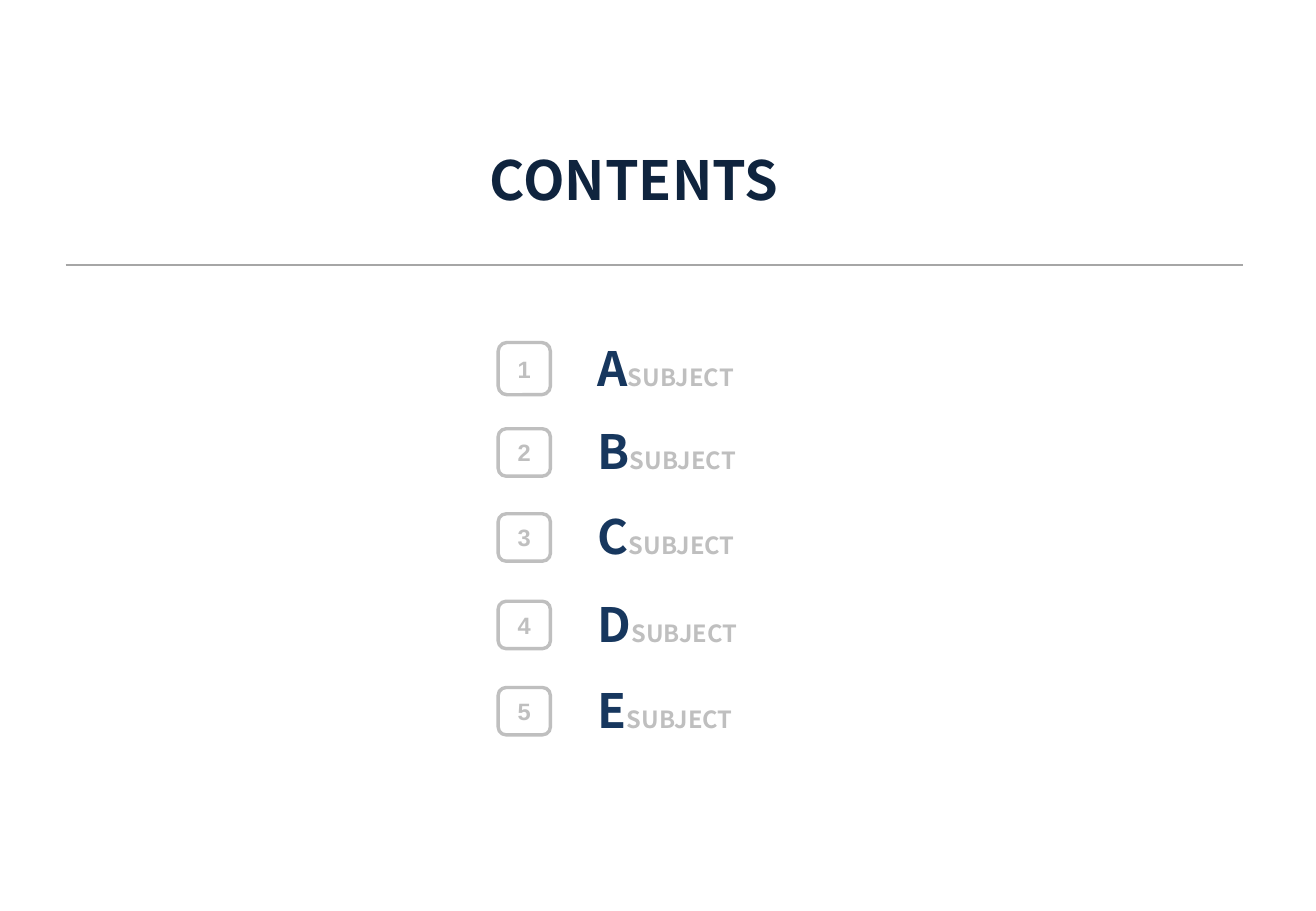
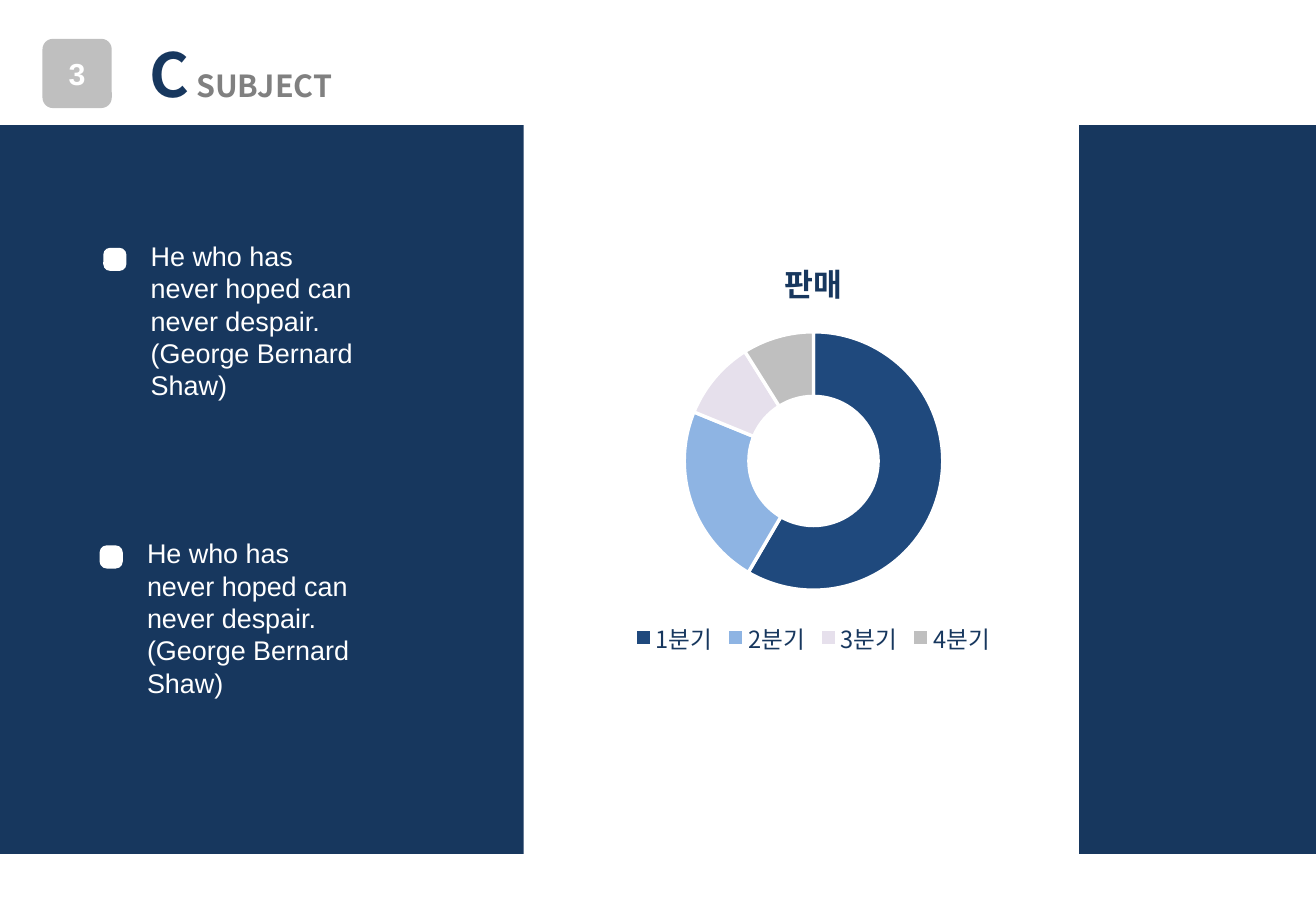
import pptx
import pptx.chart.data
import pptx.dml.color
import pptx.enum.chart
import pptx.enum.shapes
import pptx.enum.text
import pptx.util
from lxml import etree

PX = 9144
NAVY, DARK, GREY, SILVER, WHITE = "17375E", "0F243E", "808080", "BFBFBF", "FFFFFF"
SANS, ARIAL = "Noto Sans CJK KR", "Arial"
KIND = pptx.enum.shapes.MSO_SHAPE
ALIGN = pptx.enum.text.PP_ALIGN
ANCHOR = pptx.enum.text.MSO_ANCHOR
FIT = pptx.enum.text.MSO_AUTO_SIZE.SHAPE_TO_FIT_TEXT


def rgb(code):
    return pptx.dml.color.RGBColor.from_string(code)


def px(*sizes):
    return [size * PX for size in sizes]


def tag(name):
    return "{http://schemas.openxmlformats.org/drawingml/2006/main}" + name


class Deck:
    """Hold the shared style and the current slide, and draw each kind of element."""

    def __init__(self, wide, high):
        self.file = pptx.Presentation()
        self.file.slide_width, self.file.slide_height = px(wide, high)

    def page(self, layout):
        self.slide = self.file.slides.add_slide(self.file.slide_layouts[layout])
        self.shapes = self.slide.shapes

    def font(self, font, size, color, name=SANS, bold=True):
        look = {"size": pptx.util.Pt(size), "name": name, "bold": bold}
        for key, value in look.items():
            setattr(font, key, value)
        font.color.rgb = rgb(color)

    def text(self, shape, runs, align=ALIGN.LEFT, anchor=ANCHOR.TOP, fit=FIT):
        frame = shape.text_frame
        look = {"word_wrap": True, "auto_size": fit, "vertical_anchor": anchor}
        for key, value in look.items():
            setattr(frame, key, value)
        para = frame.paragraphs[0]
        para.alignment = align
        para.space_before = pptx.util.Pt(0)
        for words, *style in runs:
            run = para.add_run()
            run.text = words
            self.font(run.font, *style)

    def place(self, shape, box):
        for key, value in zip(("left", "top", "width", "height"), px(*box)):
            setattr(shape, key, value)

    def title(self, box, runs, align=ALIGN.LEFT):
        self.place(self.shapes.title, box)
        self.text(self.shapes.title, runs, align)

    def body(self, index, box, words):
        shape = self.slide.placeholders[index]
        self.place(shape, box)
        self.text(shape, [(words, 16, WHITE, ARIAL, False)])
        props = shape.element.xpath(".//a:pPr")[0]
        props.set("marL", "0")
        props.set("indent", "0")
        etree.SubElement(props, tag("buNone"))
        shape.element.getparent().append(shape.element)

    def label(self, box, runs):
        self.text(self.shapes.add_textbox(*px(*box)), runs, ALIGN.JUSTIFY)

    def block(self, box, kind=KIND.RECTANGLE, fill=None, line=None, adj=None, alpha=None):
        shape = self.shapes.add_shape(kind, *px(*box))
        shape.shadow.inherit = False
        if adj:
            shape.adjustments[0] = adj
        if fill:
            shape.fill.solid()
            shape.fill.fore_color.rgb = rgb(fill)
        else:
            shape.fill.background()
        if alpha:
            color = shape.element.xpath("./p:spPr/a:solidFill/a:srgbClr")[0]
            etree.SubElement(color, tag("alpha"), val=str(alpha * 1000))
        if line:
            shape.line.color.rgb = rgb(line)
            shape.line.width = pptx.util.Pt(2)
        else:
            shape.line.fill.background()
        return shape

    def badge(self, box, words, size, color, **look):
        shape = self.block(box, KIND.ROUNDED_RECTANGLE, **look)
        self.text(shape, [(words, size, color, ARIAL)], ALIGN.CENTER, ANCHOR.MIDDLE,
                  pptx.enum.text.MSO_AUTO_SIZE.NONE)

    def rule(self, left, right, top, color):
        line = self.shapes.add_connector(
            pptx.enum.shapes.MSO_CONNECTOR.STRAIGHT, *px(left, top, right, top))
        line.line.color.rgb = rgb(color)
        line.line.width = pptx.util.Pt(1)
        props = line.element.xpath("./p:spPr")[0]
        etree.SubElement(props, tag("effectLst"))

    def ring(self, box, name, parts):
        data = pptx.chart.data.CategoryChartData()
        data.categories = [part[0] for part in parts]
        data.add_series(name, [part[1] for part in parts])
        chart = self.shapes.add_chart(
            pptx.enum.chart.XL_CHART_TYPE.DOUGHNUT, *px(*box), data).chart
        self.font(chart.font, 10, "000000", bold=False)
        chart.has_title = True
        run = chart.chart_title.text_frame.paragraphs[0].add_run()
        run.text = name
        self.font(run.font, 18.6, NAVY)
        chart.has_legend = True
        chart.legend.position = pptx.enum.chart.XL_LEGEND_POSITION.BOTTOM
        chart.legend.include_in_layout = False
        self.font(chart.legend.font, 14, NAVY, bold=False)
        plot = chart.plots[0]
        plot.vary_by_categories = True
        for hole in chart.element.xpath(".//c:holeSize"):
            hole.set("val", "75")
        for spot, part in enumerate(parts):
            look = plot.series[0].points[spot].format
            look.fill.solid()
            look.fill.fore_color.rgb = rgb(part[2])
            look.line.color.rgb = rgb(WHITE)
            look.line.width = pptx.util.Pt(2)


def main():
    deck = Deck(1083, 750)

    deck.page(5)
    deck.title((393, 116, 303, 64), [("CONTENTS", 32, DARK)], ALIGN.JUSTIFY)
    deck.rule(54, 1023, 218, "A6A6A6")
    rows = zip("ABCDE", (274, 343, 413, 485, 556), (43, 39, 39, 39, 39))
    for num, (mark, top, high) in enumerate(rows, 1):
        mid = top + 29
        deck.badge((410, mid - high // 2, 43, high), str(num), 14, SILVER, line=SILVER)
        deck.label((482, top, 197, 57), [(mark, 28, NAVY), ("SUBJECT", 14, SILVER)])

    deck.page(3)
    deck.ring((408, 194, 523, 349), "판매", [
        ("1분기", 59, "1F497D"), ("2분기", 23, "8EB4E3"),
        ("3분기", 10, "E6E0EC"), ("4분기", 9, SILVER)])
    for left, wide in ((0, 431), (888, 195)):
        deck.block((left, 103, wide, 600), fill=NAVY)
    deck.badge((35, 32, 57, 57), "3", 18, WHITE, fill=GREY, adj=0.15, alpha=50)
    deck.title((113, 25, 197, 71), [
        ("C", 36, NAVY), (" ", 18, NAVY, SANS, False), ("SUBJECT", 18, GREY)])
    quote = "He who has never hoped can never despair. (George Bernard Shaw)"
    for index, left, top in ((1, 114, 192), (2, 111, 437)):
        deck.body(index, (left, top, 194, 145), quote)
        deck.block((left - 29, top + 12, 19, 19), KIND.ROUNDED_RECTANGLE,
                   fill=WHITE, adj=0.3)

    deck.file.save("out.pptx")


if __name__ == "__main__":
    main()
